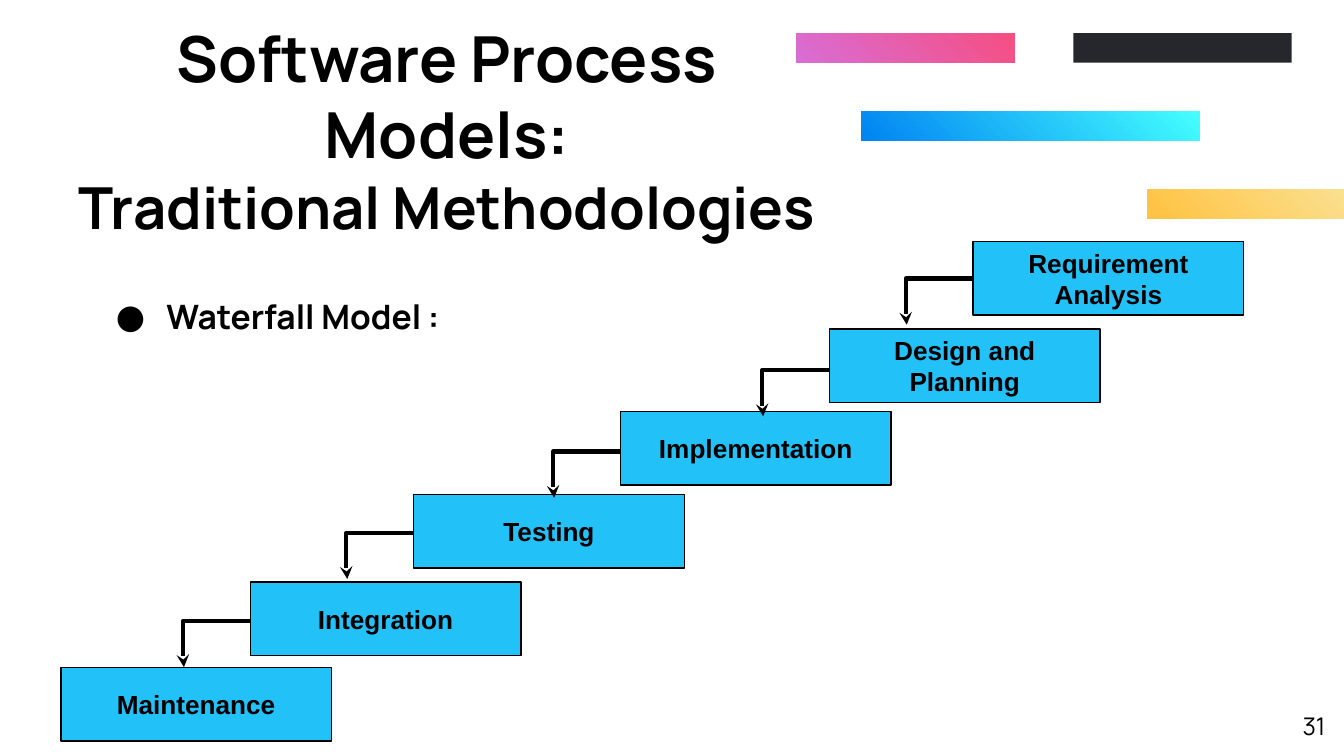
from dataclasses import dataclass
from typing import Optional

from lxml import etree
from pptx import Presentation
from pptx.dml.color import RGBColor
from pptx.enum.shapes import MSO_CONNECTOR, MSO_SHAPE
from pptx.enum.text import MSO_ANCHOR, MSO_AUTO_SIZE, PP_ALIGN
from pptx.oxml.ns import qn
from pptx.util import Pt

RECT, ELBOW = MSO_SHAPE.RECTANGLE, MSO_CONNECTOR.ELBOW
TOP, MIDDLE = MSO_ANCHOR.TOP, MSO_ANCHOR.MIDDLE
LEFT, CENTER, RIGHT = PP_ALIGN.LEFT, PP_ALIGN.CENTER, PP_ALIGN.RIGHT
NO_FIT = MSO_AUTO_SIZE.NONE

COLORS = {
    "text": "000000", "step": "22C1F8", "dark": "25272D",
    "cyan": "45FFFF", "blue": "0083F1",
    "rose": "F64E81", "orchid": "D86ED5",
    "cream": "FAE08F", "amber": "FFC241",
}
HEADING_FONT, STEP_FONT = "Manrope", "Arial"
BAR_H = 15.8
STEP_W, STEP_H = 145, 39.4
ARROW_W, ARROW_H = 35.5, 24.8


@dataclass
class Bar:
    left: float
    top: float
    width: float
    start: str
    end: Optional[str] = None


@dataclass
class Step:
    label: str
    left: float
    top: float
    arrow_top: Optional[float] = None


BARS = [
    Bar(461.3, 59.6, 181.5, "cyan", "blue"),
    Bar(575, 17.8, 117, "dark"),
    Bar(426.7, 17.8, 117, "rose", "orchid"),
    Bar(615, 101.5, 105, "cream", "amber"),
]
STEPS = [
    Step("Requirement Analysis", 521.3, 129.5, 149.2),
    Step("Design and Planning", 444.4, 176.2, 198.2),
    Step("Implementation", 332.4, 220.4, 241.9),
    Step("Testing", 221.6, 265, 285.4),
    Step("Integration", 134.1, 311.9, 332.6),
    Step("Maintenance", 32.6, 357.6),
]


def rgb(name: str) -> RGBColor:
    return RGBColor.from_string(COLORS[name])


def setup_frame(tf, anchor=TOP, side: float = 7.2) -> None:
    tf.word_wrap = True
    tf.auto_size = NO_FIT
    tf.vertical_anchor = anchor
    tf.margin_left = tf.margin_right = Pt(side)
    tf.margin_top = tf.margin_bottom = Pt(7.2)


def add_run(p, text: str, size: float, font: str, bold: bool = True) -> None:
    r = p.add_run()
    r.text = text
    r.font.size = Pt(size)
    r.font.name = font
    r.font.bold = bold
    r.font.color.rgb = rgb("text")


def add_text(s, box, text: str, size: float, bold: bool, align):
    tf = s.shapes.add_textbox(*map(Pt, box)).text_frame
    setup_frame(tf)
    p = tf.paragraphs[0]
    p.alignment = align
    add_run(p, text, size, HEADING_FONT, bold)
    return p


def add_bar(s, bar: Bar) -> None:
    sp = s.shapes.add_shape(RECT, Pt(bar.left), Pt(bar.top), Pt(bar.width), Pt(BAR_H))
    sp.shadow.inherit = False
    sp.line.fill.background()
    if bar.end is None:
        sp.fill.solid()
        sp.fill.fore_color.rgb = rgb(bar.start)
        return
    sp.fill.gradient()
    sp.fill.gradient_angle = 225
    for stop, name in zip(sp.fill.gradient_stops, (bar.start, bar.end)):
        stop.color.rgb = rgb(name)


def add_step(s, step: Step) -> None:
    sp = s.shapes.add_shape(RECT, Pt(step.left), Pt(step.top), Pt(STEP_W), Pt(STEP_H))
    sp.shadow.inherit = False
    sp.fill.solid()
    sp.fill.fore_color.rgb = rgb("step")
    sp.line.color.rgb = rgb("text")
    sp.line.width = Pt(0.75)
    setup_frame(sp.text_frame, MIDDLE)
    p = sp.text_frame.paragraphs[0]
    p.alignment = CENTER
    add_run(p, step.label, 14, STEP_FONT)


def add_arrow(s, left: float, top: float) -> None:
    cn = s.shapes.add_connector(
        ELBOW, Pt(left), Pt(top), Pt(left - ARROW_W), Pt(top + ARROW_H))
    cn.line.color.rgb = rgb("text")
    cn.line.width = Pt(2.25)
    # Bend just past the end so the last leg points straight down
    sp_pr = cn._element.spPr
    guides = sp_pr.find(qn("a:prstGeom")).get_or_add_avLst()
    etree.SubElement(guides, qn("a:gd"), name="adj1", fmla="val 101500")
    etree.SubElement(sp_pr.find(qn("a:ln")), qn("a:tailEnd"), type="stealth")
    etree.SubElement(sp_pr, qn("a:effectLst"))


def add_bullet(p) -> None:
    p_pr = p._p.get_or_add_pPr()
    p_pr.set("marL", str(Pt(36)))
    p_pr.set("indent", str(Pt(-27)))
    color = etree.SubElement(p_pr, qn("a:buClr"))
    etree.SubElement(color, qn("a:srgbClr"), val=COLORS["text"])
    etree.SubElement(p_pr, qn("a:buFont"), typeface=HEADING_FONT)
    etree.SubElement(p_pr, qn("a:buChar"), char="●")


def main() -> None:
    prs = Presentation()
    prs.slide_width, prs.slide_height = Pt(720), Pt(405)
    s = prs.slides.add_slide(prs.slide_layouts[5])

    # Decorative bars
    for bar in BARS:
        add_bar(s, bar)

    # Title, with side margins that wrap its first line before the last word
    title = s.shapes.title
    title.left, title.top, title.width, title.height = map(Pt, (18.7, 18, 441.4, 103))
    setup_frame(title.text_frame, MIDDLE, side=12)
    p = title.text_frame.paragraphs[0]
    p.alignment = CENTER
    add_run(p, "Software Process Models:", 34, HEADING_FONT)
    p.add_line_break()
    add_run(p, "Traditional Methodologies", 31, HEADING_FONT)

    # Bullet and page number
    p = add_text(s, (46.1, 140.4, 292.3, 39.6), "Waterfall Model :", 18, True, LEFT)
    p.line_spacing = 1.5
    add_bullet(p)
    add_text(s, (673.9, 373.7, 43.2, 31), "31", 13, False, RIGHT)

    # Waterfall steps, then the arrows above them
    for step in STEPS:
        add_step(s, step)
    for step in STEPS:
        if step.arrow_top is not None:
            add_arrow(s, step.left, step.arrow_top)

    prs.save("out.pptx")


if __name__ == "__main__":
    main()
